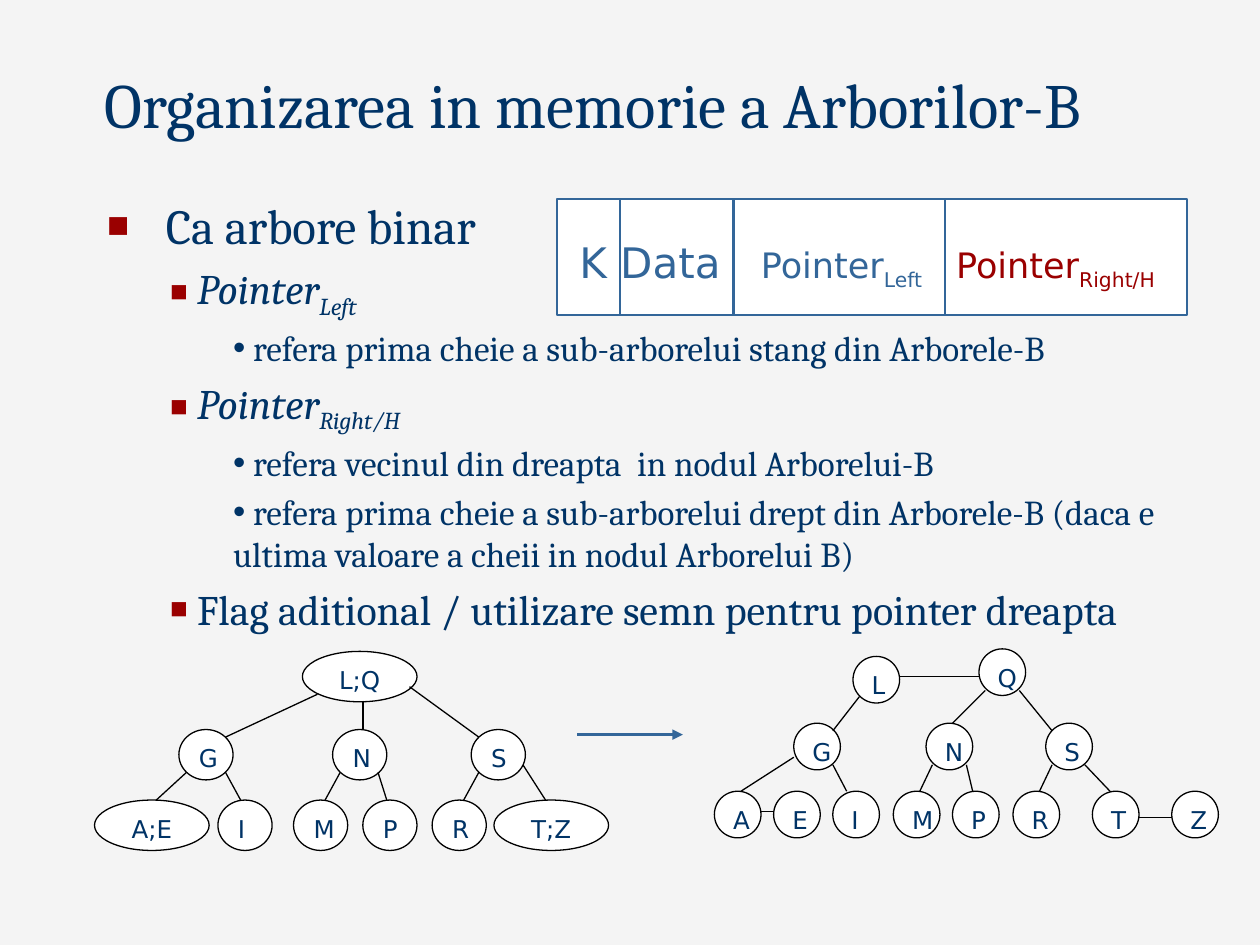
from lxml import etree
from pptx import Presentation
from pptx import util as u
from pptx.dml.color import RGBColor
from pptx.enum import shapes, text
from pptx.oxml.ns import qn

PX = 9144  # EMU per px, 100 px to the inch
COLORS = {"page": "F4F4F4", "navy": "003366", "blue": "336699", "red": "9A0000",
          "white": "FFFFFF", "black": "000000"}
SERIF, SANS = "Cambria", "DejaVu Sans"

# level: (left margin, first-line indent, size, bullet, bullet colour, bullet percent)
LEVELS = [(38, -38, 28, "■", "red", 75), (50, 0, 24, "■", "red", 70),
          (100, 0, 20, "•", "navy", 100)]

# level, text, subscript
OUTLINE = [
    (0, " Ca arbore binar", ""),
    (1, " Pointer", "Left"),
    (2, " refera prima cheie a sub-arborelui stang din Arborele-B", ""),
    (1, " Pointer", "Right/H"),
    (2, " refera vecinul din dreapta  in nodul Arborelui-B", ""),
    (2, " refera prima cheie a sub-arborelui drept din Arborele-B "
        "(daca e ultima valoare a cheii in nodul Arborelui B)", ""),
    (1, " Flag aditional / utilizare semn pentru pointer dreapta", ""),
]

# top of a row of nodes: (label, left) pairs
B_TREE = {
    517: [("L;Q", 240)],
    579: [("G", 142), ("N", 264), ("S", 374)],
    635: [("A;E", 75), ("I", 173), ("M", 233), ("P", 288), ("R", 343), ("T;Z", 392)],
}
B_TREE_EDGES = [
    (179, 585, 252, 551), (288, 556, 288, 579), (325, 545, 380, 585),
    (148, 613, 124, 635), (179, 613, 191, 635), (270, 613, 258, 635),
    (300, 613, 307, 635), (368, 635, 380, 613), (415, 607, 433, 635),
]
BINARY_TREE = {
    521: [("L", 677)],
    515: [("Q", 777)],
    574: [("G", 630), ("N", 735), ("S", 830)],
    628: [("A", 567), ("E", 614), ("I", 661), ("M", 709), ("P", 756),
          ("R", 804), ("T", 867), ("Z", 930)],
}
BINARY_TREE_EDGES = [
    (661, 580, 682, 553), (782, 548, 756, 574), (809, 548, 835, 580),
    (630, 601, 588, 628), (661, 607, 672, 628), (740, 607, 730, 628),
    (767, 607, 772, 628), (825, 628, 835, 607), (861, 607, 881, 628),
    (714, 537, 777, 537), (904, 649, 930, 649), (604, 644, 614, 644),
]


def rgb(name):
    return RGBColor.from_string(COLORS[name])


def set_font(font, face, size, color):
    font.name, font.size = face, u.Pt(size)
    font.color.rgb = rgb(color)


def add_run(paragraph, words, subscript=False):
    run = paragraph.add_run()
    run.text = words
    if subscript:
        run._r.get_or_add_rPr().set("baseline", "-25000")
    return run


class Deck:
    def __init__(self):
        self.presentation = Presentation()
        self.presentation.slide_width = 1000 * PX
        self.presentation.slide_height = 750 * PX
        self.slide = self.presentation.slides.add_slide(self.presentation.slide_layouts[1])
        fill = self.slide.background.fill
        fill.solid()
        fill.fore_color.rgb = rgb("page")

    def placeholder(self, index, left, top, width, height, anchor):
        shape = self.slide.placeholders[index]
        shape.left, shape.top = left * PX, top * PX
        shape.width, shape.height = width * PX, height * PX
        frame = shape.text_frame
        frame.auto_size = text.MSO_AUTO_SIZE.NONE
        frame.vertical_anchor = anchor
        return frame

    def title(self, words):
        frame = self.placeholder(0, 73, 46, 875, 71, text.MSO_ANCHOR.BOTTOM)
        frame.text = words
        paragraph = frame.paragraphs[0]
        paragraph.alignment = text.PP_ALIGN.LEFT
        set_font(paragraph.font, SERIF, 36, "navy")

    def outline(self, items):
        frame = self.placeholder(1, 75, 150, 925, 517, text.MSO_ANCHOR.TOP)
        for number, (level, words, subscript) in enumerate(items):
            paragraph = frame.add_paragraph() if number else frame.paragraphs[0]
            paragraph.level = level
            size = self.bullet(paragraph, level)
            paragraph.space_before = u.Pt(size * 0.2 if number else 0)
            set_font(paragraph.font, SERIF, size, "navy")
            add_run(paragraph, words)
            if subscript:
                paragraph.font.italic = True
                add_run(paragraph, subscript, subscript=True)

    def bullet(self, paragraph, level):
        """Set the indents and bullet of a level; return its text size."""
        margin, indent, size, char, color, percent = LEVELS[level]
        properties = paragraph._p.get_or_add_pPr()
        properties.set("marL", str(margin * PX))
        properties.set("indent", str(indent * PX))
        bullet_color = etree.SubElement(properties, qn("a:buClr"))
        etree.SubElement(bullet_color, qn("a:srgbClr"), val=COLORS[color])
        etree.SubElement(properties, qn("a:buSzPct"), val=str(percent * 1000))
        etree.SubElement(properties, qn("a:buChar"), char=char)
        return size

    def shape(self, kind, left, top, width, height, line_color, line_width):
        shape = self.slide.shapes.add_shape(kind, left * PX, top * PX, width * PX, height * PX)
        shape.shadow.inherit = False
        shape.fill.solid()
        shape.fill.fore_color.rgb = rgb("white")
        shape.line.color.rgb = rgb(line_color)
        shape.line.width = u.Pt(line_width)

    def text_box(self, left, top, width, height):
        """Add an empty wrapping text box and return its paragraph."""
        box = self.slide.shapes.add_textbox(left * PX, top * PX, width * PX, height * PX)
        box.text_frame.word_wrap = True
        return box.text_frame.paragraphs[0]

    def line(self, x1, y1, x2, y2, color="black", width=0.75, arrow=False):
        line = self.slide.shapes.add_connector(
            shapes.MSO_CONNECTOR.STRAIGHT, x1 * PX, y1 * PX, x2 * PX, y2 * PX)
        line.line.color.rgb = rgb(color)
        line.line.width = u.Pt(width)
        if arrow:
            etree.SubElement(line.line._get_or_add_ln(), qn("a:tailEnd"), type="triangle")
        etree.SubElement(line._element.spPr, qn("a:effectLst"))

    def node(self, label, left, top, width, height):
        self.shape(shapes.MSO_SHAPE.OVAL, left, top, width, height, "black", 0.75)
        inset = round(width * 0.146)  # inner rectangle of an ellipse
        paragraph = self.text_box(left + inset, top + 6, width - 2 * inset, 33)
        if len(label) > 1:
            paragraph.alignment = text.PP_ALIGN.CENTER
        set_font(paragraph.font, SANS, 14, "navy")
        add_run(paragraph, label)

    def tree(self, rows, edges, width, height, wide=0):
        """Draw nodes row by row, then edges; nodes with several keys are wide."""
        for top, nodes in rows.items():
            for label, left in nodes:
                self.node(label, left, top, wide if len(label) > 1 else width, height)
        for edge in edges:
            self.line(*edge)

    def record(self):
        """Draw the record with its key, data and two pointers."""
        self.shape(shapes.MSO_SHAPE.RECTANGLE, 442, 158, 500, 92, "blue", 1.5)
        paragraph = self.text_box(450, 183, 508, 50)
        tabs = etree.SubElement(paragraph._p.get_or_add_pPr(), qn("a:tabLst"))
        for position in (144, 299):
            etree.SubElement(tabs, qn("a:tab"), pos=str(position * PX), algn="l")
        set_font(paragraph.font, SANS, 20, "blue")
        add_run(paragraph, "K Data").font.size = u.Pt(24)
        add_run(paragraph, "\tPointer")
        add_run(paragraph, "Left", subscript=True)
        for words, subscript in (("\tPointer", False), ("Right/H", True)):
            add_run(paragraph, words, subscript).font.color.rgb = rgb("red")
        for x in (492, 582, 750):
            self.line(x, 158, x, 250, "blue", 1.5)


def main():
    deck = Deck()
    deck.title("Organizarea in memorie a Arborilor-B")
    deck.outline(OUTLINE)
    deck.tree(BINARY_TREE, BINARY_TREE_EDGES, 37, 37)
    deck.record()
    deck.tree(B_TREE, B_TREE_EDGES, 43, 40, wide=91)
    deck.line(458, 583, 542, 583, "blue", 1.5, arrow=True)
    deck.presentation.save("out.pptx")


if __name__ == "__main__":
    main()
